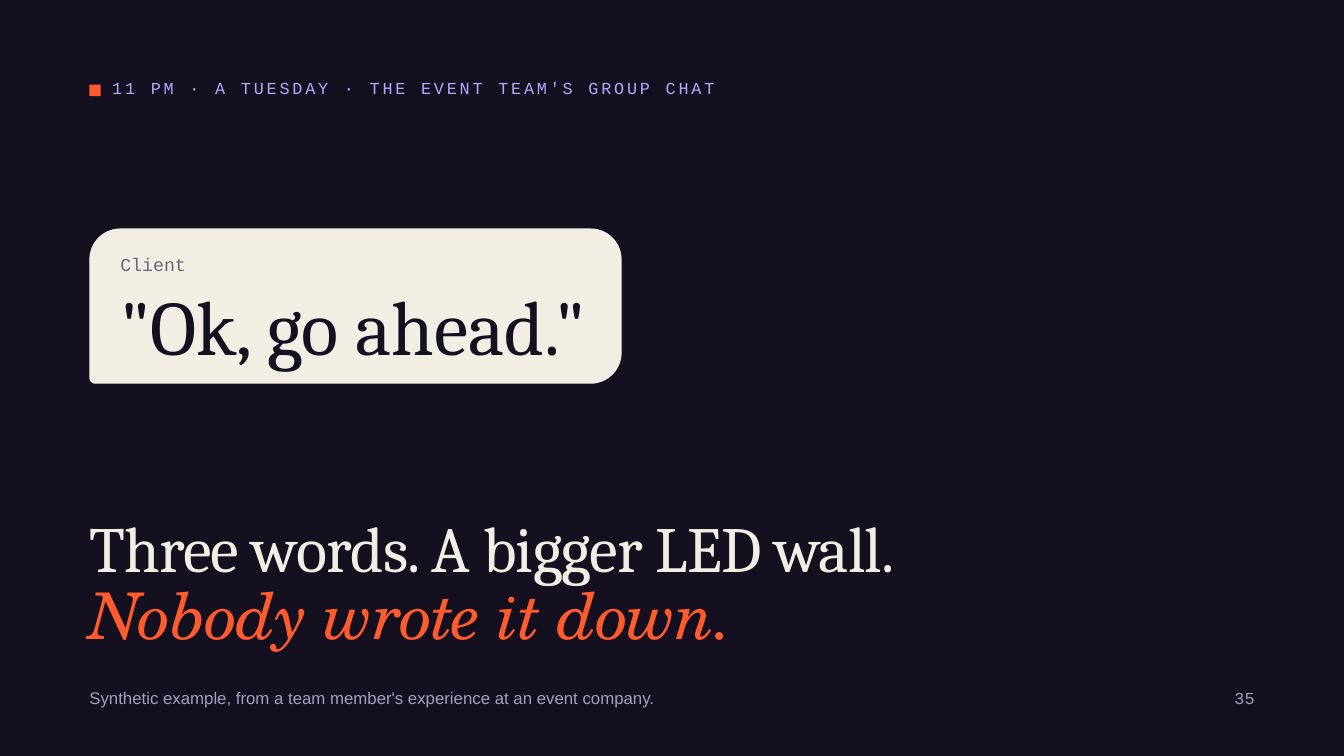
from math import cos, sin, pi
from pptx import Presentation
from pptx.dml.color import RGBColor
from pptx.enum.shapes import MSO_SHAPE
from pptx.enum.text import MSO_ANCHOR, MSO_AUTO_SIZE, PP_ALIGN
from pptx.util import Inches, Pt

THEME = {
    "ink": "14101F", "paper": "F3EEE4", "accent": "FF5B2E",
    "lilac": "B8A6FF", "grey": "6B6478", "muted": "A59DC0",
    "mono": "Courier New", "serif": "Cambria", "script": "TeX Gyre Schola", "sans": "Arial",
    "small": 18, "sender": 19.5, "quote": 82.5, "head": 69,
}
LEFT = 1.33
MARK = (LEFT, 1.26, 0.17, 0.17)
BUBBLE = (LEFT, 3.4, 7.92, 2.31)
ROUND, TAIL = 0.46, 0.09
HEAD_BOX = (LEFT, 7.72, 17.85, 1.91)

HEAD = [
    ("Three words. A bigger LED wall.", "serif", "head", "paper", 71.8, -0.8, False),
    ("Nobody wrote it down.", "script", "head", "accent", 71.8, -0.8, True),
]
TEXTS = [
    ((1.67, 1.11, 10.81, 0.44),
     ("11 PM · A TUESDAY · THE EVENT TEAM'S GROUP CHAT", "mono", "small", "lilac", 25.2, 3, False)),
    ((1.79, 3.71, 7.21, 0.46), ("Client", "mono", "sender", "grey", 27.3, 0, False)),
    ((1.79, 4.38, 7.21, 1.02), ('"Ok, go ahead."', "serif", "quote", "ink", 82.5, 0, False)),
    ((LEFT, 10.19, 16.09, 0.43),
     ("Synthetic example, from a team member's experience at an event company.",
      "sans", "small", "muted", 24.3, 0, False)),
    ((18.37, 10.18, 0.38, 0.44), ("35", "mono", "small", "muted", 25.2, 0, False)),
]


def color(name):
    return RGBColor.from_string(THEME[name])


def paint(shape, name):
    shape.shadow.inherit = False
    shape.fill.solid()
    shape.fill.fore_color.rgb = color(name)
    shape.line.fill.background()


def write(frame, lines):
    frame.word_wrap = True
    frame.auto_size = MSO_AUTO_SIZE.NONE
    frame.vertical_anchor = MSO_ANCHOR.TOP
    frame.margin_left = frame.margin_top = frame.margin_right = frame.margin_bottom = 0
    for i, (text, face, size, tint, pitch, track, slant) in enumerate(lines):
        para = frame.add_paragraph() if i else frame.paragraphs[0]
        para.alignment = PP_ALIGN.LEFT
        para.line_spacing = Pt(pitch)
        run = para.add_run()
        run.text = text
        font = run.font
        font.name, font.size = THEME[face], Pt(THEME[size])
        font.color.rgb = color(tint)
        font.italic = slant
        if track:
            run._r.get_or_add_rPr().set("spc", str(round(track * 100)))


def bubble(shapes, box, steps=24):
    x, y, w, h = box
    corners = [
        (x + ROUND, y + ROUND, ROUND, pi),
        (x + w - ROUND, y + ROUND, ROUND, 1.5 * pi),
        (x + w - ROUND, y + h - ROUND, ROUND, 0),
        (x + TAIL, y + h - TAIL, TAIL, 0.5 * pi),
    ]
    points = []
    for cx, cy, r, start in corners:
        for i in range(steps + 1):
            turn = start + i / steps * pi / 2
            points.append((Inches(cx + r * cos(turn)), Inches(cy + r * sin(turn))))
    pen = shapes.build_freeform(*points[0])
    pen.add_line_segments(points[1:], close=True)
    return pen.convert_to_shape()


def main():
    deck = Presentation()
    deck.slide_width, deck.slide_height = Inches(20), Inches(11.25)
    slide = deck.slides.add_slide(deck.slide_layouts[5])
    slide.background.fill.solid()
    slide.background.fill.fore_color.rgb = color("ink")
    shapes = slide.shapes

    paint(shapes.add_shape(MSO_SHAPE.RECTANGLE, *map(Inches, MARK)), "accent")
    paint(bubble(shapes, BUBBLE), "paper")

    title = shapes.title
    title.left, title.top, title.width, title.height = map(Inches, HEAD_BOX)
    write(title.text_frame, HEAD)
    for box, line in TEXTS:
        write(shapes.add_textbox(*map(Inches, box)).text_frame, [line])

    deck.save("out.pptx")


if __name__ == "__main__":
    main()
